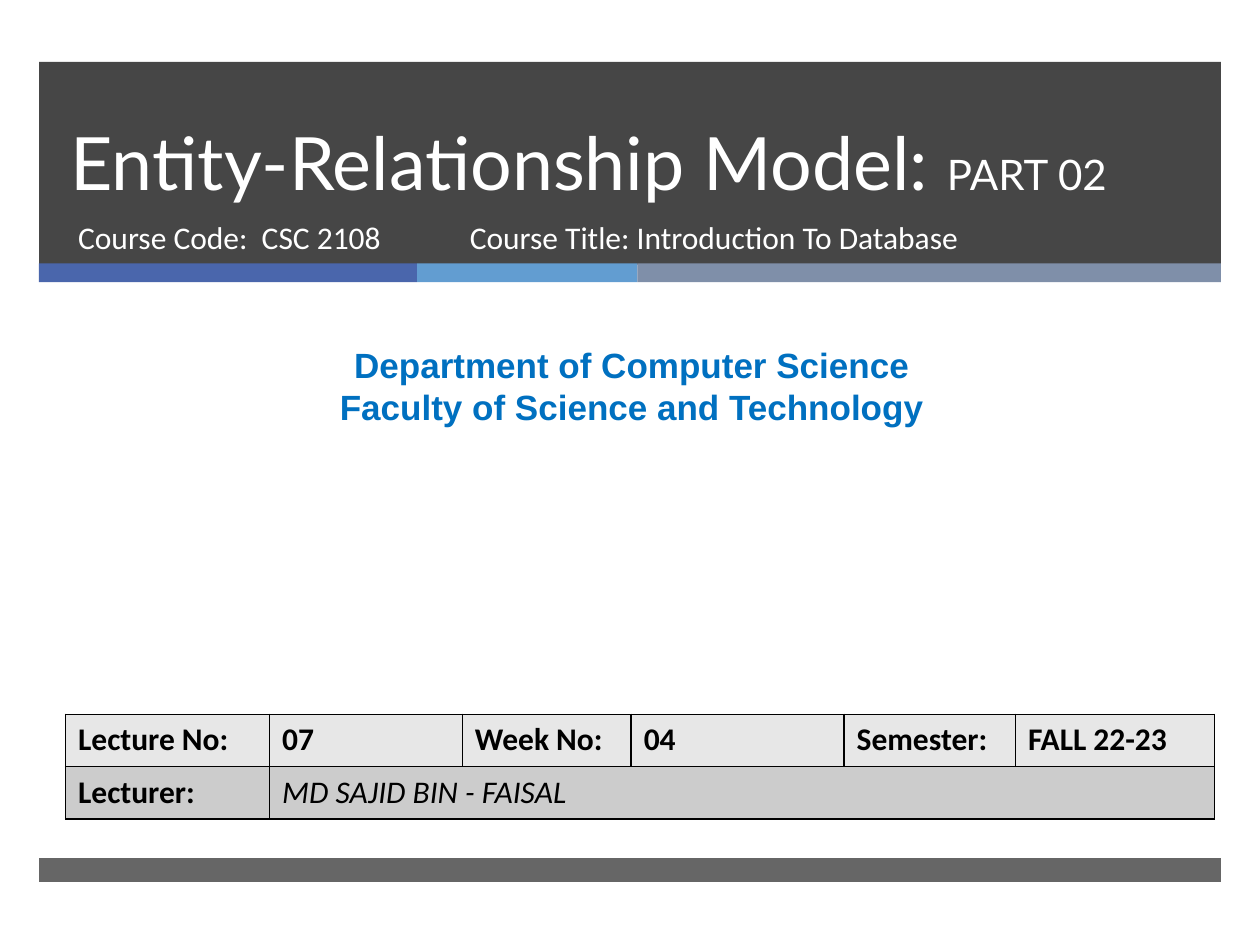
import pptx
import pptx.dml.color
import pptx.enum.shapes
import pptx.enum.text
import pptx.oxml
import pptx.oxml.ns
import pptx.util

PX = 9144
ANCHOR = pptx.enum.text.MSO_ANCHOR
ALIGN = pptx.enum.text.PP_ALIGN


def px(*nums):
    """Turn px lengths into EMU."""
    return [pptx.util.Emu(num * PX) for num in nums]


def tint(fmt, code):
    """Give a fill or a font a solid colour from a hex string."""
    color = pptx.dml.color.RGBColor.from_string(code)
    if hasattr(fmt, "solid"):
        fmt.solid()
        fmt.fore_color.rgb = color
    else:
        fmt.color.rgb = color


def write(para, text, size=18, font="Calibri", color="FFFFFF", bold=False,
          slant=False, align=ALIGN.LEFT):
    """Add a formatted run to a paragraph."""
    para.alignment = align
    run = para.add_run()
    run.text = text
    run.font.size = pptx.util.Pt(size)
    run.font.name = font
    run.font.bold = bold
    run.font.italic = slant
    tint(run.font, color)


def place(shape, box, anchor=ANCHOR.TOP):
    """Move a text shape to its box and return its text frame."""
    shape.left, shape.top, shape.width, shape.height = px(*box)
    frame = shape.text_frame
    frame.word_wrap = True
    frame.auto_size = pptx.enum.text.MSO_AUTO_SIZE.NONE
    frame.vertical_anchor = anchor
    return frame


def block(slide, box, color, alpha=100):
    """Draw a plain rectangle, see-through if alpha is below 100."""
    kind = pptx.enum.shapes.MSO_SHAPE.RECTANGLE
    shape = slide.shapes.add_shape(kind, *px(*box))
    shape.shadow.inherit = False
    shape.line.fill.background()
    tint(shape.fill, color)
    if alpha < 100:
        node = shape.fill._xPr.find(".//" + pptx.oxml.ns.qn("a:srgbClr"))
        pptx.oxml.ns.qn("a:alpha")
        item = pptx.oxml.parse_xml(
            f'<a:alpha {pptx.oxml.ns.nsdecls("a")} val="{alpha * 1000}"/>')
        node.append(item)


def stripes(slide, box):
    """Fill a box with the three accent stripes."""
    left, top, width, height = box
    end = left + width
    for part, color in ((300, "4A66AC"), (175, "629DD1"), (463, "7F8FA9")):
        block(slide, (left, top, min(part, end - left), height), color)
        left += part


def header(slide, box):
    """Build the dark band with the title and the course lines."""
    left, top, width, height = box
    block(slide, box, "262626", 85)
    stripes(slide, (left, top + height - 1, width, 15))

    frame = place(slide.shapes.title, (left + 15, top, 854, 119), ANCHOR.BOTTOM)
    para = frame.paragraphs[0]
    para.line_spacing = pptx.util.Pt(46)
    write(para, "Entity-Relationship Model: ", size=42, font="Lato")
    write(para, "PART 02", size=24, font="Lato")

    row = top + 119
    frame = place(slide.placeholders[1], (left + 21, row, 305, 53))
    frame.paragraphs[0].space_before = 0
    write(frame.paragraphs[0], "Course Code:  CSC 2108")
    area = (left + 332, row, 455, 53)
    frame = place(slide.shapes.add_textbox(*px(*area)), area)
    write(frame.paragraphs[0], "Course Title: Introduction To Database")


def school(slide, box):
    """Write the department and faculty lines."""
    frame = place(slide.shapes.add_textbox(*px(*box)), box)
    look = dict(size=20, font="Arial", color="0070C0", bold=True,
                align=ALIGN.CENTER)
    write(frame.paragraphs[0], "Department of Computer Science", **look)
    write(frame.add_paragraph(), "Faculty of Science and Technology", **look)


def border(cell):
    """Draw a thin black line on each side of a cell."""
    props = cell._tc.get_or_add_tcPr()
    for side in "LRTB":
        props.append(pptx.oxml.parse_xml(
            f'<a:ln{side} {pptx.oxml.ns.nsdecls("a")} w="12700"><a:solidFill>'
            f'<a:srgbClr val="000000"/></a:solidFill></a:ln{side}>'))


def facts(slide, box):
    """Build the table of lecture facts."""
    rows = (("Lecture No:", "07", "Week No:", "04", "Semester:", "FALL 22-23"),
            ("Lecturer:", "MD SAJID BIN - FAISAL"))
    grid = slide.shapes.add_table(2, 6, *px(*box)).table
    for col, width in zip(grid.columns, px(162, 153, 134, 169, 136, 158)):
        col.width = width
    for y, color in enumerate(("E7E7E7", "CCCCCC")):
        for x in range(6):
            cell = grid.cell(y, x)
            border(cell)
            tint(cell.fill, color)
            if x < len(rows[y]):
                name = (y, x) == (1, 1)
                write(cell.text_frame.paragraphs[0], rows[y][x],
                      color="000000", bold=not name, slant=name)
    grid.cell(1, 1).merge(grid.cell(1, 5))


def main():
    """Build and save the slide."""
    deck = pptx.Presentation()
    deck.slide_width, deck.slide_height = px(1000, 750)
    slide = deck.slides.add_slide(deck.slide_layouts[0])
    tint(slide.background.fill, "FFFFFF")
    header(slide, (31, 49, 938, 161))
    tree = slide.shapes._spTree
    for item in (slide.shapes.title, slide.placeholders[1]):
        tree.append(item._element)
    school(slide, (8, 268, 987, 77))
    facts(slide, (52, 567, 912, 83))
    block(slide, (31, 681, 938, 19), "262626", 70)
    deck.save("out.pptx")


if __name__ == "__main__":
    main()
